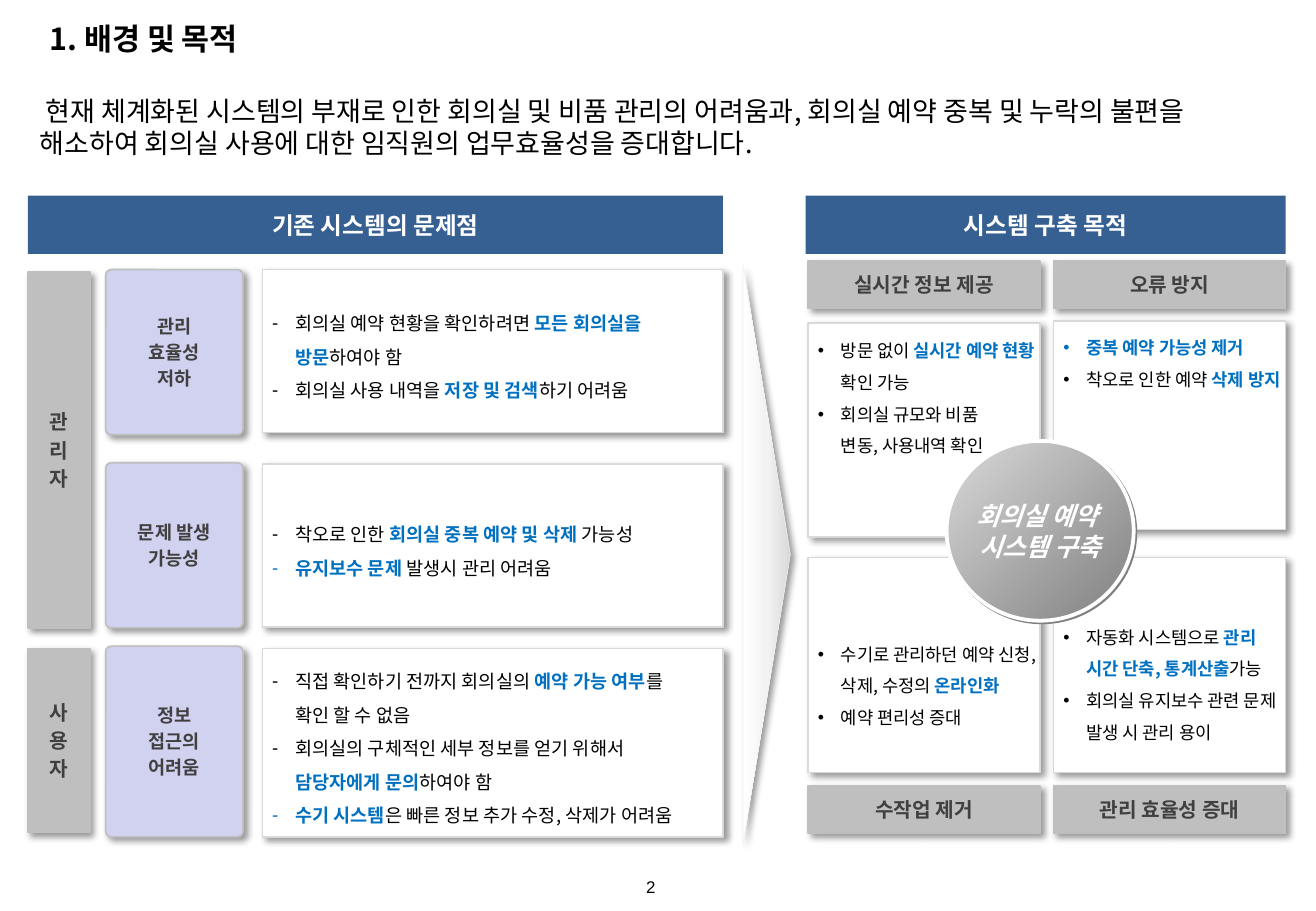
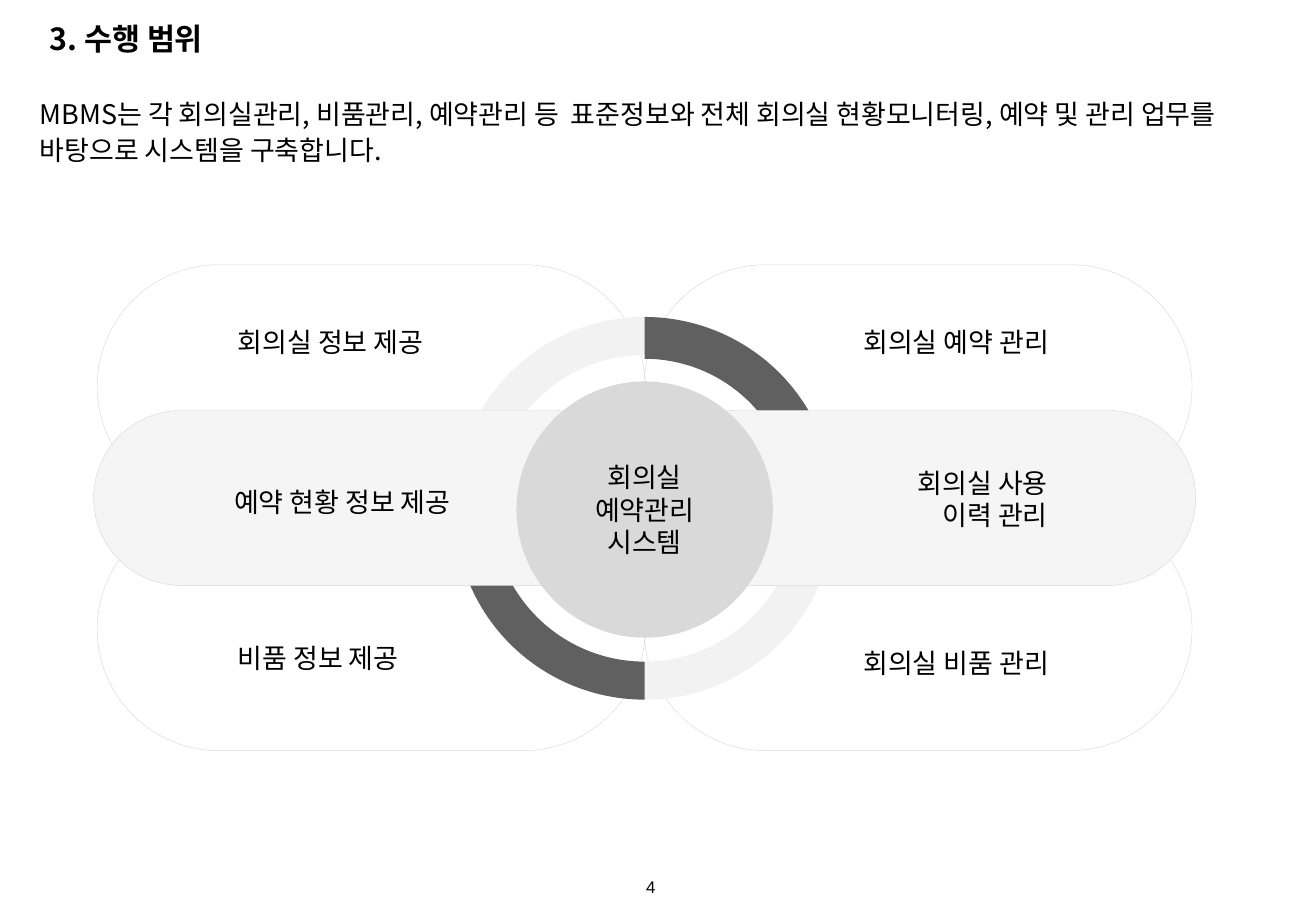
from itertools import product

from lxml import etree
from pptx import Presentation
from pptx.dml.color import RGBColor
from pptx.enum.shapes import MSO_SHAPE as SHAPE
from pptx.enum.text import MSO_ANCHOR as ANCHOR, PP_ALIGN as ALIGN
from pptx.oxml.ns import qn
from pptx.util import Pt

PX = 9144  # 100 px to the inch
WIDTH, HEIGHT = 1083, 750
KOREAN, LATIN = "Noto Sans CJK KR", "Arial"
COLORS = {
    "ink": "000000", "white": "FFFFFF", "accent": "0070C0", "header": "376092",
    "label": "404040", "grey": "BFBFBF", "lavender": "D1D1F0", "edge": "D9D9D9",
    "pale": "F2F2F2", "band": "F5F5F5", "dark": "606060", "mid": "808080",
}
FORMATS = {
    "title": {"size": Pt(18), "bold": True},
    "body": {"size": Pt(16)},
    "header": {"size": Pt(14), "bold": True},
    "band": {"size": Pt(12), "bold": True},
    "card": {"size": Pt(11), "bold": True},
    "detail": {"size": Pt(11)},
    "goal": {"size": Pt(10.5)},
    "hub": {"size": Pt(15), "bold": True, "italic": True},
    "number": {"size": Pt(10)},
}
SOFT_SHADOW = ("ink", 40, 4, 3)
HARD_SHADOW = ("mid", 100, 0, 1.4)


def px(*lengths):
    return [round(length * PX) for length in lengths]


def rgb(name):
    return RGBColor.from_string(COLORS[name])


def add_color(parent, name, alpha=100):
    color = etree.SubElement(parent, qn("a:srgbClr"), val=COLORS[name])
    if alpha < 100:
        etree.SubElement(color, qn("a:alpha"), val=str(alpha * 1000))


def add_shadow(shape, color, alpha, blur, distance):
    effects = shape._element.spPr.find(qn("a:effectLst"))
    shadow = etree.SubElement(
        effects, qn("a:outerShdw"), blurRad=str(Pt(blur)), dist=str(Pt(distance)),
        dir=str(45 * 60000), algn="tl", rotWithShape="0")
    add_color(shadow, color, alpha)


def set_gradient(shape, names, angle):
    """Spread the named colours evenly, with the angle clockwise in degrees."""
    shape.fill.gradient()
    gradient = shape._element.spPr.find(qn("a:gradFill"))
    stops = gradient.find(qn("a:gsLst"))
    for stop in list(stops):
        stops.remove(stop)
    for index, name in enumerate(names):
        position = 100000 * index // (len(names) - 1)
        add_color(etree.SubElement(stops, qn("a:gs"), pos=str(position)), name)
    gradient.find(qn("a:lin")).set("ang", str(angle * 60000))


def add_box(page, kind, at, fill=None, line=None, weight=1, shadow=None, adjust=(), turn=0):
    box = page.shapes.add_shape(kind, *px(*at))
    box.rotation = turn
    box.shadow.inherit = False
    for index, value in enumerate(adjust):
        box.adjustments[index] = value
    if fill:
        box.fill.solid()
        box.fill.fore_color.rgb = rgb(fill)
    else:
        box.fill.background()
    if line:
        box.line.color.rgb = rgb(line)
        box.line.width = Pt(weight)
    else:
        box.line.fill.background()
    if shadow:
        add_shadow(box, *shadow)
    return box


def add_span(para, text, style, color, font):
    span = para.add_run()
    span.text = text
    span.font.name = font
    etree.SubElement(span._r.get_or_add_rPr(), qn("a:ea"), typeface=font)
    span.font.color.rgb = rgb(color)
    for name, value in FORMATS[style].items():
        setattr(span.font, name, value)
    return span


def set_bullet(para, mark):
    properties = para._p.get_or_add_pPr()
    properties.set("marL", str(19 * PX))
    properties.set("indent", str(-19 * PX))
    etree.SubElement(properties, qn("a:buFont"), typeface=LATIN)
    etree.SubElement(properties, qn("a:buChar"), char=mark)


def write(box, paragraphs, style, color="ink", font=KOREAN, align=ALIGN.LEFT,
          anchor=ANCHOR.TOP, insets=(10, 5, 10, 5), wrap=True, spacing=None,
          before=0, bullet=None):
    """Fill a box; *stars* mark accented words and a newline breaks the line."""
    frame = box.text_frame
    frame.word_wrap, frame.vertical_anchor = wrap, anchor
    for side, inset in zip(("left", "top", "right", "bottom"), px(*insets)):
        setattr(frame, f"margin_{side}", inset)
    for index, text in enumerate(paragraphs):
        para = frame.add_paragraph() if index else frame.paragraphs[0]
        para.alignment = align
        if spacing:
            para.line_spacing = spacing
        if before:
            para.space_before = Pt(before)
        if bullet:
            set_bullet(para, bullet)
        for part, words in enumerate(text.split("*")):
            accented = part % 2 == 1
            for number, line in enumerate(words.split("\n")):
                if number:
                    para.add_line_break()
                if line:
                    span = add_span(para, line, style, "accent" if accented else color, font)
                    if accented:
                        span.font.bold = True


def add_text(page, at, paragraphs, style, **options):
    write(page.shapes.add_textbox(*px(*at)), paragraphs, style, **options)


def add_page(deck, number, title, title_width, intro, spacing=None):
    page = deck.slides.add_slide(deck.slide_layouts[6])
    add_text(page, (522, 717, 37, 27), [number], "number", font=LATIN)
    add_text(page, (31, 12, title_width, 40), [title], "title", anchor=ANCHOR.MIDDLE)
    add_text(page, (23, 73, 1043, 64), [intro], "body", spacing=spacing)
    return page


def add_header(page, left, width, text):
    header = add_box(page, SHAPE.RECTANGLE, (left, 161, width, 48), "header")
    write(header, [text], "header", "white", align=ALIGN.CENTER,
          anchor=ANCHOR.MIDDLE, insets=(4, 4, 4, 4))


def add_label(page, at, paragraphs, style="band"):
    """A grey band, or a lavender card with rounded corners."""
    card = style == "card"
    label = add_box(page, SHAPE.ROUNDED_RECTANGLE if card else SHAPE.RECTANGLE, at,
                    "lavender" if card else "grey", "grey", shadow=SOFT_SHADOW,
                    adjust=[0.04] if card else ())
    write(label, paragraphs, style, "label", align=ALIGN.CENTER, anchor=ANCHOR.MIDDLE,
          insets=(1, 5, 1, 5), before=FORMATS[style]["size"].pt / 5)


def add_list(page, at, paragraphs, style, bullet, anchor=ANCHOR.TOP, top=5):
    panel = add_box(page, SHAPE.RECTANGLE, at, "white", "edge", shadow=SOFT_SHADOW)
    write(panel, paragraphs, style, anchor=anchor, insets=(8, top, 1, 5),
          spacing=1.5, bullet=bullet)


def build_background(deck):
    page = add_page(
        deck, "2", "1. 배경 및 목적", 175,
        " 현재 체계화된 시스템의 부재로 인한 회의실 및 비품 관리의 어려움과, 회의실 예약 중복 및 "
        "누락의 불편을 해소하여 회의실 사용에 대한 임직원의 업무효율성을 증대합니다.")
    arrow = add_box(page, SHAPE.ISOSCELES_TRIANGLE, (393, 437, 476, 39), "pale", "pale",
                    0.25, SOFT_SHADOW, turn=90)
    set_gradient(arrow, ("edge", "pale", "white"), 90)

    add_header(page, 23, 572, "기존 시스템의 문제점")
    add_label(page, (23, 224, 51, 293), "관리자")
    add_label(page, (23, 534, 51, 151), "사용자")
    problems = [
        (222, 136, 222, 134, ["관리", "효율성", "저하"],
         ["회의실 예약 현황을 확인하려면 *모든 회의실을\n방문*하여야 함",
          "회의실 사용 내역을 *저장 및 검색*하기 어려움"]),
        (381, 136, 382, 134, ["문제 발생", "가능성"],
         ["착오로 인한 *회의실 중복 예약 및 삭제 *가능성",
          "*유지보수 문제 *발생시 관리 어려움"]),
        (532, 157, 534, 155, ["정보", "접근의", "어려움"],
         ["직접 확인하기 전까지 회의실의 *예약 가능 여부*를\n확인 할 수 없음",
          "회의실의 구체적인 세부 정보를 얻기 위해서\n*담당자에게 문의*하여야 함",
          "*수기 시스템*은 빠른 정보 추가 수정, 삭제가 어려움"]),
    ]
    for card_top, card_height, list_top, list_height, name, details in problems:
        add_label(page, (87, card_top, 113, card_height), name, "card")
        add_list(page, (216, list_top, 379, list_height), details, "detail", "-",
                 ANCHOR.MIDDLE)

    add_header(page, 663, 395, "시스템 구축 목적")
    goals = [
        (665, 215, "실시간 정보 제공", 266, 176, 5,
         ["방문 없이 *실시간 예약 현황 *확인 가능", "회의실 규모와 비품 \n변동, 사용내역 확인"]),
        (867, 215, "오류 방지", 264, 172, 5,
         ["*중복 예약 가능성 제거*", "착오로 인한 예약 *삭제 방지*"]),
        (665, 647, "수작업 제거", 459, 177, 62,
         ["수기로 관리하던 예약 신청, 삭제, 수정의 *온라인화*", "예약 편리성 증대"]),
        (867, 647, "관리 효율성 증대", 459, 177, 48,
         ["자동화 시스템으로 *관리 시간 단축, 통계산출*가능",
          "회의실 유지보수 관련 문제 발생 시 관리 용이"]),
    ]
    for left, band_top, name, top, height, inset, details in goals:
        add_label(page, (left, band_top, 191, 39), [name])
        add_list(page, (left, top, 191, height), details, "goal", "•", top=inset)

    hub = add_box(page, SHAPE.OVAL, (779, 363, 154, 148), "edge", "white", 2.25, HARD_SHADOW)
    set_gradient(hub, ("edge", "mid"), 45)
    write(hub, ["회의실 예약 ", "시스템 구축"], "hub", "white", align=ALIGN.CENTER,
          anchor=ANCHOR.MIDDLE, insets=(4, 4, 4, 4), wrap=False)


def build_scope(deck):
    page = add_page(
        deck, "4", "3. 수행 범위", 146,
        "MBMS는 각 회의실관리, 비품관리, 예약관리 등  표준정보와 전체 회의실 현황모니터링, "
        "예약 및 관리 업무를 바탕으로 시스템을 구축합니다.", spacing=1.1)
    for left, top in product((80, 530), (218, 418)):
        add_box(page, SHAPE.ROUNDED_RECTANGLE, (left, top, 451, 200), None, "edge", 0.25,
                adjust=[0.5])
    arcs = [(180, 263, "pale", 162.05, 0.1), (270, 263, "dark", 152.06, 0.1),
            (0, 261, "pale", 162.05, 0.1), (90, 261, "dark", 144.17, 0.11)]
    for turn, top, color, end, thickness in arcs:
        add_box(page, SHAPE.BLOCK_ARC, (374, top, 313, 313), color, turn=turn,
                adjust=[108.01, end, thickness])
    for left in (77, 533):
        add_box(page, SHAPE.ROUNDED_RECTANGLE, (left, 338, 451, 144), "band", "edge", 0.25,
                adjust=[0.5])
    hub = add_box(page, SHAPE.OVAL, (425, 314, 211, 211), "edge")
    write(hub, ["회의실", "예약관리", "시스템"], "body", align=ALIGN.CENTER,
          anchor=ANCHOR.MIDDLE)

    captions = [
        ((186, 263, 174, 37), ["회의실 정보 제공"], ALIGN.LEFT),
        ((183, 395, 200, 37), ["예약 현황 정보 제공"], ALIGN.LEFT),
        ((186, 523, 153, 37), ["비품 정보 제공"], ALIGN.LEFT),
        ((699, 263, 174, 37), ["회의실 예약 관리"], ALIGN.RIGHT),
        ((745, 379, 127, 64), ["회의실 사용", "이력 관리"], ALIGN.RIGHT),
        ((699, 527, 174, 37), ["회의실 비품 관리"], ALIGN.RIGHT),
    ]
    for at, paragraphs, align in captions:
        add_text(page, at, paragraphs, "body", align=align)


def main():
    deck = Presentation()
    deck.slide_width, deck.slide_height = px(WIDTH, HEIGHT)
    build_background(deck)
    build_scope(deck)
    deck.save("out.pptx")


if __name__ == "__main__":
    main()
